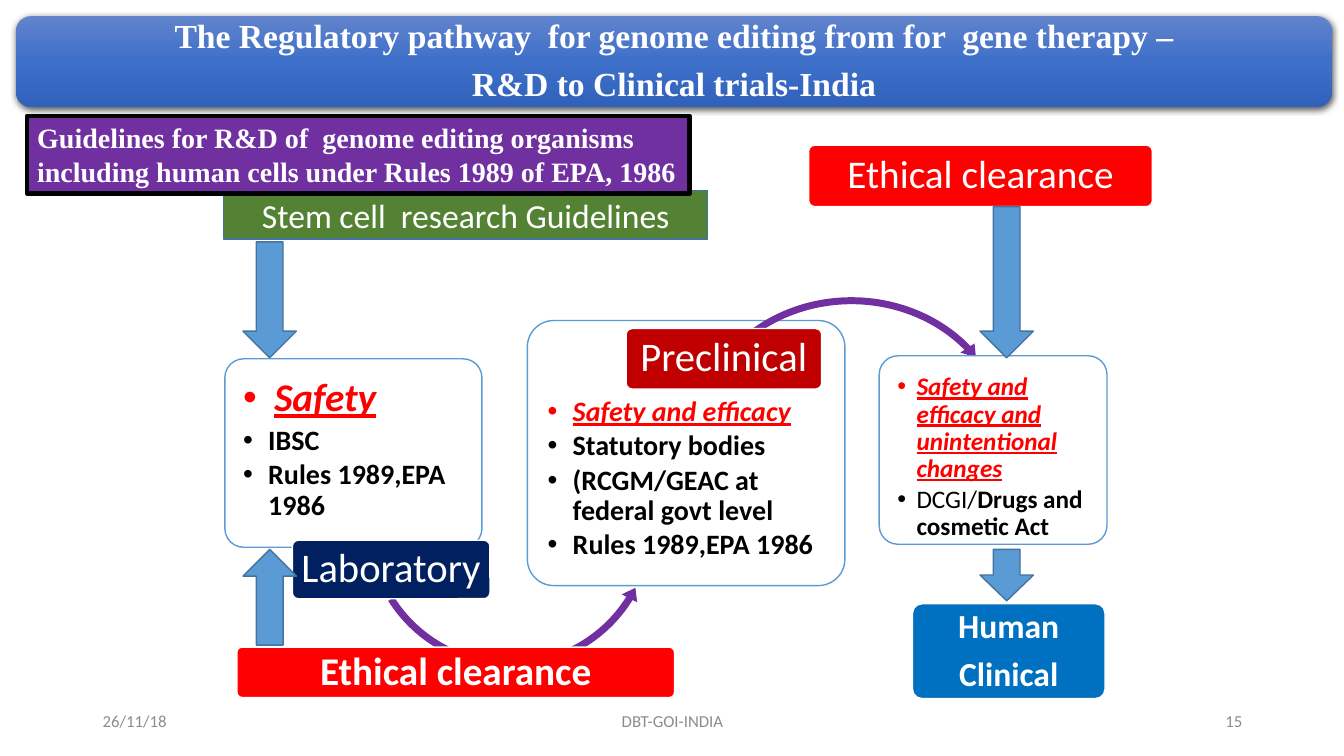
"""Build the slide on the regulatory pathway for genome editing in gene therapy."""
import copy
from dataclasses import dataclass

import pptx
import pptx.dml.color
import pptx.enum.shapes
import pptx.enum.text
import pptx.oxml
import pptx.oxml.ns
import pptx.util

Inches = pptx.util.Inches
Pt = pptx.util.Pt
Kind = pptx.enum.shapes.MSO_SHAPE
Align = pptx.enum.text.PP_ALIGN
Anchor = pptx.enum.text.MSO_ANCHOR
qn = pptx.oxml.ns.qn


@dataclass(frozen=True)
class Theme:
    """Colours, fonts and type sizes of the slide."""
    white: str = "FFFFFF"
    black: str = "000000"
    red: str = "FF0000"
    crimson: str = "C00000"
    navy: str = "002060"
    blue: str = "0070C0"
    green: str = "548235"
    purple: str = "7030A0"
    arrow: str = "5B9BD5"
    arrow_edge: str = "43739E"
    grey: str = "8C8C8C"
    banner: tuple = ("6183CB", "3E70CA", "3062BB")
    sans: str = "Calibri"
    serif: str = "Times New Roman"
    stage_size: int = 29
    clearance_size: int = 28
    heading_size: int = 24
    list_size: int = 20
    small_list_size: int = 18
    footer_size: int = 12


THEME = Theme()

TITLE = ["The Regulatory pathway  for genome editing from for  gene therapy –",
         "R&D to Clinical trials-India"]
TITLE_BOX = (0.16, 0.16, 13.05, 0.9)

# text, look, size
STAGES = [
    dict(card=(2.23, 3.56, 2.55, 1.87), list_box=(2.27, 3.61, 2.46, 1.38),
         items=[([("Safety", "alert")], THEME.clearance_size, 0.31),
                ([("IBSC", "strong")], THEME.list_size, 0.25),
                ([("Rules 1989,EPA 1986", "strong")], THEME.list_size, 0.25)],
         arc=(Kind.LEFT_CIRCULAR_ARROW, (3.58, 3.72, 2.96, 2.96),
              (0.024, 2.965, 19.134, 88.659, 0.029)),
         label=(["Laboratory"], (2.9, 5.36, 1.96, 0.58), THEME.navy, THEME.stage_size, False)),
    dict(card=(5.23, 3.18, 3.15, 2.63), list_box=(5.29, 3.8, 3.03, 1.94),
         items=[([("Safety and efficacy", "alert")], THEME.list_size, 0.25),
                ([("Statutory bodies", "strong")], THEME.list_size, 0.25),
                ([("(RCGM/GEAC at federal govt level", "strong")], THEME.list_size, 0.25),
                ([("Rules 1989,EPA 1986", "strong")], THEME.list_size, 0.25)],
         arc=(Kind.CIRCULAR_ARROW, (6.84, 2.9, 3.21, 2.88),
              (0.024, 2.964, 193.412, 123.886, 0.029)),
         label=(["Preclinical"], (6.21, 3.26, 1.94, 0.6), THEME.crimson, THEME.stage_size, False)),
    dict(card=(8.72, 3.53, 2.26, 1.87), list_box=(8.76, 3.57, 2.18, 1.38),
         items=[([("Safety and efficacy and unintentional changes", "alert")],
                 THEME.small_list_size, 0.19),
                ([("DCGI/", "plain"), ("Drugs and cosmetic Act", "strong")],
                 THEME.small_list_size, 0.19)],
         arc=None,
         label=(["Human", "Clinical"], (9.05, 5.99, 1.91, 0.94), THEME.blue,
                THEME.heading_size, True)),
]
CLEARANCES = [
    (["Ethical clearance"], (2.35, 6.42, 4.34, 0.5), THEME.red, THEME.clearance_size, True),
    (["Ethical clearance"], (8.02, 1.44, 3.41, 0.61), THEME.red, THEME.clearance_size, False),
]
STEM_CELL = (["Stem cell  research Guidelines"], (2.22, 1.89, 4.8, 0.48))
GUIDELINES = (["Guidelines for R&D of  genome editing organisms",
               "including human cells under Rules 1989 of EPA, 1986"], (0.27, 1.15, 6.57, 0.77))
ARROW_WIDTH = 0.53
# left, top, height, rotation
ARROWS = [(2.41, 5.45, 0.95, 180), (2.41, 2.4, 1.15, 0),
          (9.72, 2.05, 1.5, 0), (9.72, 5.45, 0.51, 0)]
FOOTERS = [("26/11/18", 0.92, 3, Align.LEFT), ("DBT-GOI-INDIA", 4.42, 4.5, Align.CENTER),
           ("15", 9.42, 3, Align.RIGHT)]


def rgb(colour):
    """Turn a hex string into a colour."""
    return pptx.dml.color.RGBColor.from_string(colour)


def place(part, box):
    """Move a placeholder to a box given in inches."""
    part.left, part.top, part.width, part.height = map(Inches, box)


def style(font, face, size, colour, bold=False, slanted=False):
    """Format a font; slanted text is underlined too."""
    font.name, font.size, font.bold = face, Pt(size), bold
    font.italic = font.underline = slanted
    font.color.rgb = rgb(colour)


def set_frame(frame, margin, anchor=Anchor.MIDDLE):
    """Set wrapping, anchor and equal margins of a text frame."""
    frame.word_wrap = True
    frame.auto_size = pptx.enum.text.MSO_AUTO_SIZE.NONE
    frame.vertical_anchor = anchor
    frame.margin_left = frame.margin_right = Inches(margin)
    frame.margin_top = frame.margin_bottom = Inches(min(margin, 0.05))


def write(frame, lines, face, size, colour, bold=False, align=Align.CENTER, spacing=1.0, gap=0):
    """Write lines as equally formatted paragraphs with a gap between them."""
    frame.text = "\n".join(lines)
    for index, paragraph in enumerate(frame.paragraphs):
        paragraph.alignment = align
        paragraph.line_spacing = spacing
        paragraph.space_before = Pt(gap if index else 0)
        for run in paragraph.runs:
            style(run.font, face, size, colour, bold)


def add_block(slide, kind, box, fill, line=None, line_width=1, adjustments=()):
    """Add a flat preset shape."""
    block = slide.shapes.add_shape(kind, *map(Inches, box))
    block.shadow.inherit = False
    for index, value in enumerate(adjustments):
        block.adjustments[index] = value
    block.fill.solid()
    block.fill.fore_color.rgb = rgb(fill)
    if line:
        block.line.color.rgb = rgb(line)
        block.line.width = Pt(line_width)
    else:
        block.line.fill.background()
    return block


def add_label(slide, lines, box, fill, size, bold):
    """Add a rounded label with a white edge."""
    label = add_block(slide, Kind.ROUNDED_RECTANGLE, box, fill, THEME.white, adjustments=[0.1])
    set_frame(label.text_frame, 0.03)
    write(label.text_frame, lines, THEME.sans, size, THEME.white, bold, spacing=0.9, gap=size * 0.35)


def add_banner(slide):
    """Add the gradient banner behind the title."""
    banner = add_block(slide, Kind.ROUNDED_RECTANGLE, TITLE_BOX, THEME.banner[0])
    banner.fill.gradient()
    banner.fill.gradient_angle = 270
    stops = banner.element.spPr.find(qn("a:gradFill")).find(qn("a:gsLst"))
    stops.insert(1, copy.deepcopy(stops[0]))
    for index, stop in enumerate(banner.fill.gradient_stops):
        stop.color.rgb = rgb(THEME.banner[index])
        stop.position = index / 2
    banner.element.spPr.find(qn("a:effectLst")).append(pptx.oxml.parse_xml(
        f'<a:outerShdw {pptx.oxml.ns.nsdecls("a")} blurRad="57150" dist="19050" dir="5400000">'
        f'<a:srgbClr val="{THEME.black}"><a:alpha val="63000"/></a:srgbClr></a:outerShdw>'))
    title = slide.shapes.title
    place(title, TITLE_BOX)
    set_frame(title.text_frame, 0.1)
    write(title.text_frame, TITLE, THEME.serif, THEME.heading_size, THEME.white, True,
          spacing=0.9, gap=THEME.heading_size * 0.35)
    banner.element.addnext(title.element)


def fill_list(body, box, items):
    """Fill a body placeholder with a bulleted list."""
    place(body, box)
    frame = body.text_frame
    set_frame(frame, 0.14, Anchor.TOP)
    frame.margin_top = Inches(0.14)
    for index, (pieces, size, indent) in enumerate(items):
        paragraph = frame.add_paragraph() if index else frame.paragraphs[0]
        properties = paragraph._p.get_or_add_pPr()
        properties.set("marL", str(Inches(indent)))
        properties.set("indent", str(-Inches(indent)))
        for tag, key, value in (("buFont", "typeface", "Arial"), ("buChar", "char", "•")):
            properties.append(properties.makeelement(qn(f"a:{tag}"), {key: value}))
        paragraph.line_spacing = 0.9
        paragraph.space_before = Pt(0)
        paragraph.space_after = Pt(size * 0.15)
        for text, look in pieces:
            run = paragraph.add_run()
            run.text = text
            alert = look == "alert"
            style(run.font, THEME.sans, size, THEME.red if alert else THEME.black,
                  look != "plain", alert)


def add_stage(slide, stage, body):
    """Add one stage: card, list, arc to the next stage and label."""
    card = add_block(slide, Kind.ROUNDED_RECTANGLE, stage["card"], THEME.white, THEME.arrow,
                     adjustments=[0.1])
    colour = card.element.spPr.find(qn("a:solidFill"))[0]
    colour.append(colour.makeelement(qn("a:alpha"), {"val": "90000"}))
    fill_list(body, stage["list_box"], stage["items"])
    card.element.addnext(body.element)
    if stage["arc"]:
        kind, box, adjustments = stage["arc"]
        add_block(slide, kind, box, THEME.purple, adjustments=adjustments)
    add_label(slide, *stage["label"])


def main():
    """Build and save the slide."""
    deck = pptx.Presentation()
    deck.slide_width, deck.slide_height = Inches(13.33), Inches(7.5)
    slide = deck.slides.add_slide(deck.slide_layouts[4])
    *bodies, spare = list(slide.placeholders)[1:]
    spare.element.getparent().remove(spare.element)
    add_banner(slide)
    for stage, body in zip(STAGES, bodies):
        add_stage(slide, stage, body)
    for clearance in CLEARANCES:
        add_label(slide, *clearance)
    lines, box = STEM_CELL
    stem_cell = add_block(slide, Kind.RECTANGLE, box, THEME.green, THEME.arrow_edge)
    set_frame(stem_cell.text_frame, 0.1)
    write(stem_cell.text_frame, lines, THEME.sans, THEME.heading_size, THEME.white)
    for left, top, height, rotation in ARROWS:
        arrow = add_block(slide, Kind.DOWN_ARROW, (left, top, ARROW_WIDTH, height),
                          THEME.arrow, THEME.arrow_edge)
        arrow.rotation = rotation
    for text, left, width, align in FOOTERS:
        footer = slide.shapes.add_textbox(*map(Inches, (left, 6.95, width, 0.4)))
        set_frame(footer.text_frame, 0.1)
        write(footer.text_frame, [text], THEME.sans, THEME.footer_size, THEME.grey, align=align)
    lines, box = GUIDELINES
    guidelines = add_block(slide, Kind.RECTANGLE, box, THEME.purple, THEME.black, 3)
    set_frame(guidelines.text_frame, 0.1, Anchor.TOP)
    write(guidelines.text_frame, lines, THEME.serif, THEME.list_size, THEME.white, True, Align.JUSTIFY)
    deck.save("out.pptx")


if __name__ == "__main__":
    main()
